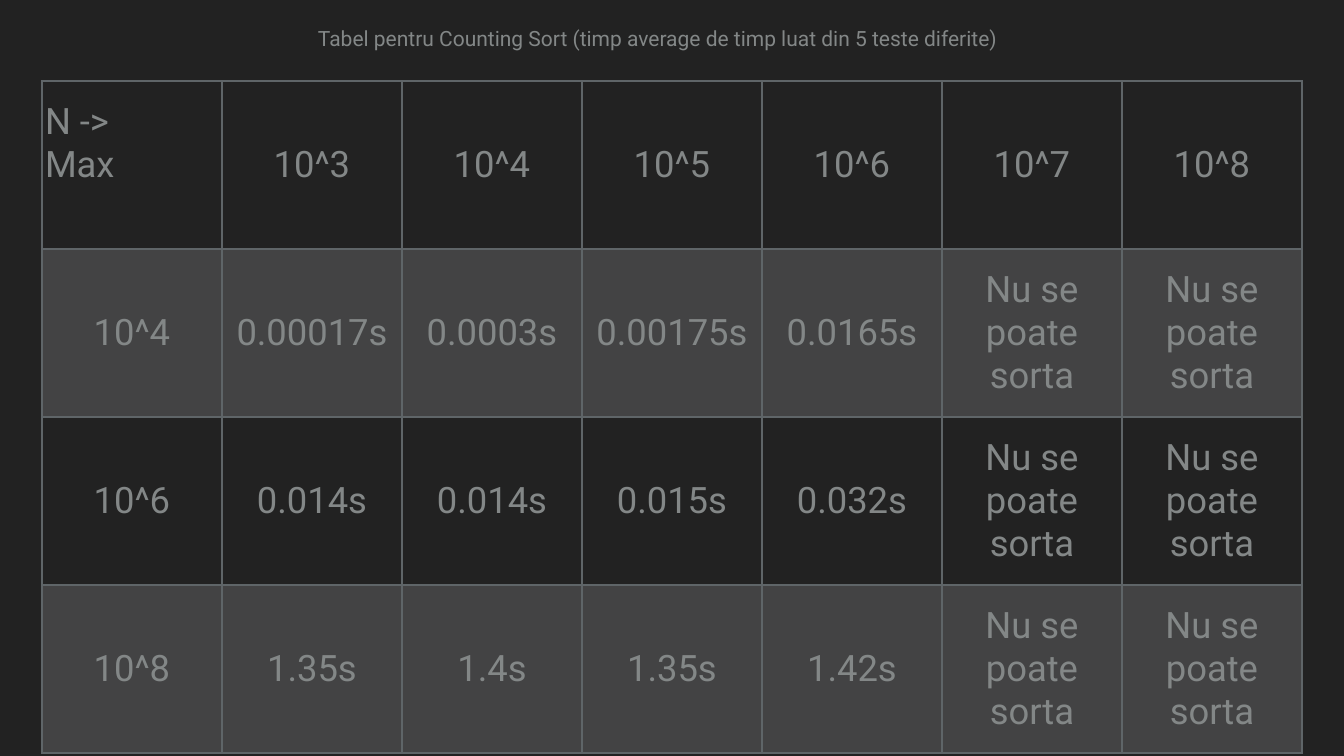
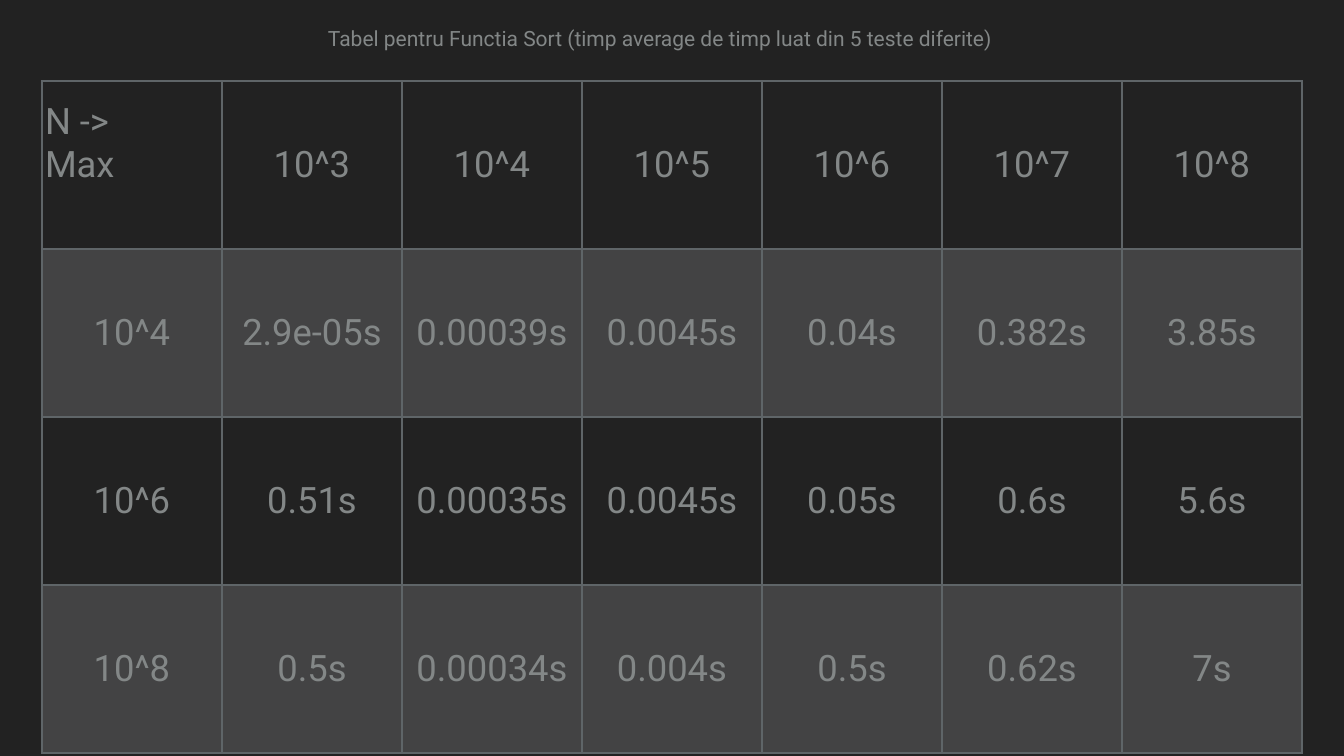
"""Build two dark slides, each a table of sorting times under a caption."""
from dataclasses import dataclass

from lxml.etree import SubElement
from pptx import Presentation
from pptx.dml.color import RGBColor
from pptx.enum.text import MSO_ANCHOR as Anchor, MSO_AUTO_SIZE as AutoSize, PP_ALIGN as Align
from pptx.oxml.ns import qn
from pptx.slide import Slide
from pptx.table import Table, _Cell as Cell
from pptx.text.text import TextFrame
from pptx.util import Emu, Pt

BACKGROUND = RGBColor(0x22, 0x22, 0x22)
TEXT = RGBColor(0x83, 0x87, 0x87)
BORDER = RGBColor(0x5F, 0x65, 0x68)
BAND = RGBColor(0xDC, 0xDE, 0xE0)
BAND_OPACITY = 18
BORDER_WIDTH = Pt(2)
FONT = "Roboto"
TITLE_SIZE, CELL_SIZE = 30, 52
SPACE_BEFORE = 34

SLIDE_WIDTH, SLIDE_HEIGHT = 1344, 756
TABLE_LEFT, TABLE_TOP = 42, 81
COLUMN_WIDTH, ROW_HEIGHT = 180, 168
TITLE_TOP, TITLE_HEIGHT = 21, 34
INSET = 3
CORNER_BOTTOM_INSET = 46

HEADER = ("N ->\vMax", "10^3", "10^4", "10^5", "10^6", "10^7", "10^8")
UNSORTABLE = "Nu se poate sorta"


@dataclass(frozen=True)
class TimingSlide:
    """Caption, its place, and the rows of measured times."""

    title: str
    title_left: int
    title_width: int
    rows: tuple[tuple[str, ...], ...]


TIMING_SLIDES = (
    TimingSlide(
        "Tabel pentru Counting Sort (timp average de timp luat din 5 teste diferite)",
        315, 716,
        (
            ("10^4", "0.00017s", "0.0003s", "0.00175s", "0.0165s", UNSORTABLE, UNSORTABLE),
            ("10^6", "0.014s", "0.014s", "0.015s", "0.032s", UNSORTABLE, UNSORTABLE),
            ("10^8", "1.35s", "1.4s", "1.35s", "1.42s", UNSORTABLE, UNSORTABLE),
        ),
    ),
    TimingSlide(
        "Tabel pentru Functia Sort (timp average de timp luat din 5 teste diferite)",
        325, 696,
        (
            ("10^4", "2.9e-05s", "0.00039s", "0.0045s", "0.04s", "0.382s", "3.85s"),
            ("10^6", "0.51s", "0.00035s", "0.0045s", "0.05s", "0.6s", "5.6s"),
            ("10^8", "0.5s", "0.00034s", "0.004s", "0.5s", "0.62s", "7s"),
        ),
    ),
)


def px(length: int) -> Emu:
    """Turn pixels into EMU."""
    return Emu(round(length * 914400 / 50.4))


def set_insets(box: TextFrame | Cell) -> None:
    """Give a text frame or cell the shared insets and middle anchor."""
    box.margin_left = box.margin_right = px(INSET)
    box.margin_top = box.margin_bottom = px(INSET)
    box.vertical_anchor = Anchor.MIDDLE


def write(frame: TextFrame, text: str, size: int, alignment: Align) -> None:
    """Write one styled paragraph."""
    paragraph = frame.paragraphs[0]
    paragraph.text = text
    paragraph.alignment = alignment
    paragraph.space_before = Pt(SPACE_BEFORE)
    paragraph.font.name = FONT
    paragraph.font.size = Pt(size)
    paragraph.font.color.rgb = TEXT


def add_borders(cell: Cell) -> None:
    """Draw the same line on all four sides of a cell."""
    properties = cell._tc.get_or_add_tcPr()
    for side in ("a:lnL", "a:lnR", "a:lnT", "a:lnB"):
        line = SubElement(properties, qn(side), w=str(BORDER_WIDTH))
        fill = SubElement(line, qn("a:solidFill"))
        SubElement(fill, qn("a:srgbClr"), val=str(BORDER))


def fill_cell(cell: Cell, banded: bool) -> None:
    """Tint a banded cell and leave the others clear."""
    if not banded:
        cell.fill.background()
        return
    cell.fill.solid()
    cell.fill.fore_color.rgb = BAND
    color = cell._tc.tcPr.find(qn("a:solidFill")).find(qn("a:srgbClr"))
    SubElement(color, qn("a:alpha"), val=str(BAND_OPACITY * 1000))


def fill_table(table: Table, rows: tuple[tuple[str, ...], ...]) -> None:
    """Style and fill every cell."""
    table.first_row = table.horz_banding = False
    for row_index, row in enumerate(rows):
        for column_index, text in enumerate(row):
            cell = table.cell(row_index, column_index)
            is_corner = row_index == column_index == 0
            set_insets(cell)
            if is_corner:
                cell.margin_bottom = px(CORNER_BOTTOM_INSET)
            write(cell.text_frame, text, CELL_SIZE, Align.LEFT if is_corner else Align.CENTER)
            add_borders(cell)
            fill_cell(cell, banded=row_index % 2 == 1)


def add_timing_table(slide: Slide, timing: TimingSlide) -> None:
    """Add the table of times."""
    rows = (HEADER, *timing.rows)
    shape = slide.shapes.add_table(
        len(rows), len(HEADER), px(TABLE_LEFT), px(TABLE_TOP),
        px(COLUMN_WIDTH * len(HEADER)), px(ROW_HEIGHT * len(rows)),
    )
    fill_table(shape.table, rows)


def add_title(slide: Slide, timing: TimingSlide) -> None:
    """Add the caption above the table."""
    shape = slide.shapes.add_textbox(
        px(timing.title_left), px(TITLE_TOP), px(timing.title_width), px(TITLE_HEIGHT)
    )
    frame = shape.text_frame
    set_insets(frame)
    frame.word_wrap = False
    frame.auto_size = AutoSize.SHAPE_TO_FIT_TEXT
    write(frame, timing.title, TITLE_SIZE, Align.LEFT)


def main() -> None:
    """Build and save the presentation."""
    presentation = Presentation()
    presentation.slide_width = px(SLIDE_WIDTH)
    presentation.slide_height = px(SLIDE_HEIGHT)
    for timing in TIMING_SLIDES:
        slide = presentation.slides.add_slide(presentation.slide_layouts[6])
        slide.background.fill.solid()
        slide.background.fill.fore_color.rgb = BACKGROUND
        add_timing_table(slide, timing)
        add_title(slide, timing)
    presentation.save("out.pptx")


if __name__ == "__main__":
    main()
